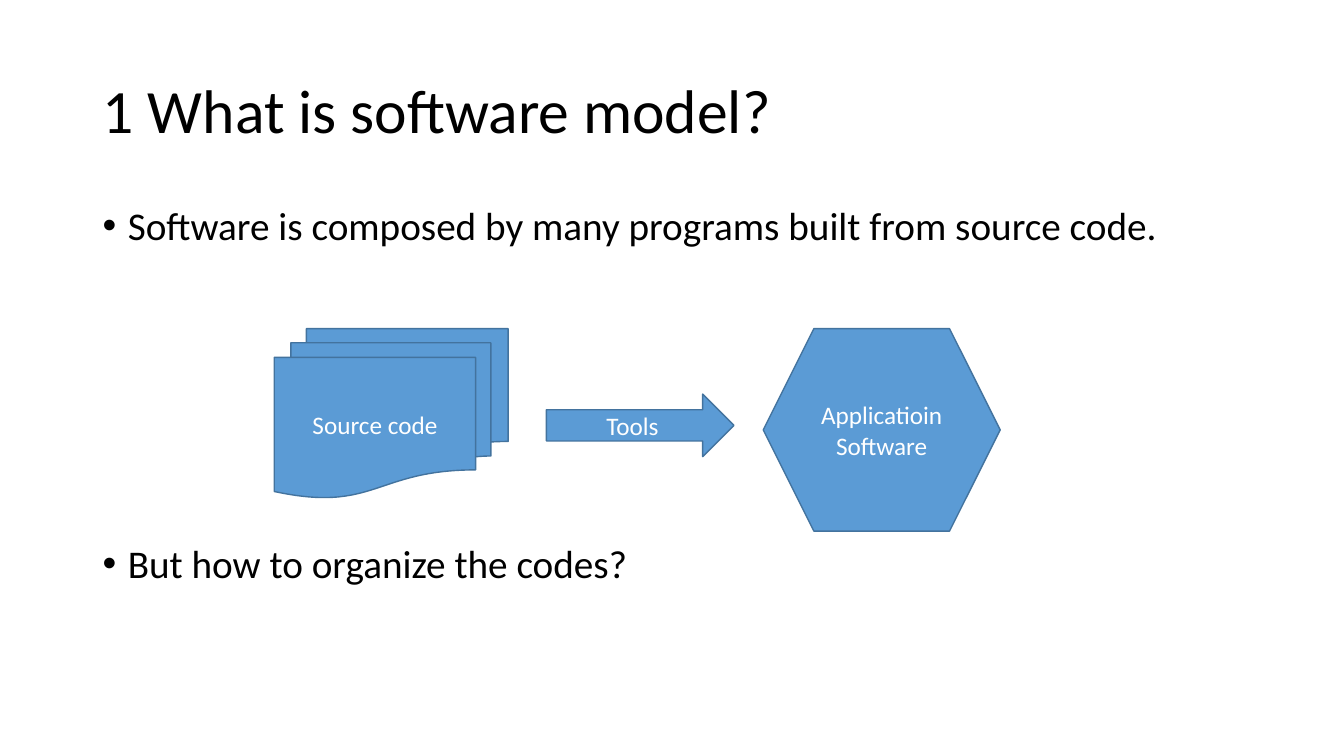
import pptx
import pptx.util
import pptx.dml.color
import pptx.enum.shapes
import pptx.enum.text
import lxml.etree
from pptx.oxml.ns import qn

Inches = pptx.util.Inches
Pt = pptx.util.Pt
ShapeType = pptx.enum.shapes.MSO_SHAPE
Alignment = pptx.enum.text.PP_ALIGN
Anchor = pptx.enum.text.MSO_ANCHOR

BLACK = pptx.dml.color.RGBColor(0x00, 0x00, 0x00)
WHITE = pptx.dml.color.RGBColor(0xFF, 0xFF, 0xFF)
BLUE = pptx.dml.color.RGBColor(0x5B, 0x9B, 0xD5)
DARK_BLUE = pptx.dml.color.RGBColor(0x43, 0x73, 0x9E)
FONT_NAME = "Calibri"


def format_paragraph(paragraph, size, color, alignment):
    paragraph.alignment = alignment
    for run in paragraph.runs:
        run.font.name = FONT_NAME
        run.font.size = Pt(size)
        run.font.color.rgb = color


def set_title(slide, text):
    title = slide.shapes.title
    title.left, title.top = Inches(0.92), Inches(0.4)
    title.width, title.height = Inches(11.5), Inches(1.45)
    text_frame = title.text_frame
    text_frame.text = text
    text_frame.auto_size = pptx.enum.text.MSO_AUTO_SIZE.NONE
    text_frame.vertical_anchor = Anchor.MIDDLE
    paragraph = text_frame.paragraphs[0]
    paragraph.line_spacing = 0.9
    format_paragraph(paragraph, 44, BLACK, Alignment.LEFT)


def add_bullet(paragraph):
    properties = paragraph._p.get_or_add_pPr()
    properties.set("marL", str(Inches(0.25)))
    properties.set("indent", str(Inches(-0.25)))
    bullet_font = lxml.etree.SubElement(properties, qn("a:buFont"))
    bullet_font.set("typeface", "Arial")
    bullet = lxml.etree.SubElement(properties, qn("a:buChar"))
    bullet.set("char", "•")


def add_bullet_list(slide, lines, gap):
    box = slide.shapes.add_textbox(Inches(0.92), Inches(2), Inches(11.5), Inches(4.76))
    text_frame = box.text_frame
    text_frame.word_wrap = True
    text_frame.text = "\n".join(lines)
    for index, paragraph in enumerate(text_frame.paragraphs):
        add_bullet(paragraph)
        paragraph.line_spacing = 0.9
        if index > 0:
            paragraph.space_before = Pt(gap)
        format_paragraph(paragraph, 28, BLACK, Alignment.LEFT)


def add_diagram_shape(slide, shape_type, left, top, width, height, text):
    shape = slide.shapes.add_shape(
        shape_type, Inches(left), Inches(top), Inches(width), Inches(height)
    )
    shape.shadow.inherit = False
    shape.fill.solid()
    shape.fill.fore_color.rgb = BLUE
    shape.line.color.rgb = DARK_BLUE
    shape.line.width = Pt(1)
    text_frame = shape.text_frame
    text_frame.word_wrap = True
    text_frame.vertical_anchor = Anchor.MIDDLE
    text_frame.text = text
    for paragraph in text_frame.paragraphs:
        format_paragraph(paragraph, 18, WHITE, Alignment.CENTER)


def main():
    presentation = pptx.Presentation()
    presentation.slide_width = Inches(13.33)
    presentation.slide_height = Inches(7.5)
    slide = presentation.slides.add_slide(presentation.slide_layouts[5])

    set_title(slide, "1 What is software model?")
    add_bullet_list(
        slide,
        [
            "Software is composed by many programs built from source code.",
            "But how to organize the codes?",
        ],
        gap=211,
    )
    add_diagram_shape(
        slide, ShapeType.FLOWCHART_MULTIDOCUMENT, 2.72, 3.26, 2.32, 1.68, "Source code"
    )
    add_diagram_shape(
        slide, ShapeType.HEXAGON, 7.57, 3.26, 2.35, 2.01, "Applicatioin\nSoftware"
    )
    add_diagram_shape(slide, ShapeType.RIGHT_ARROW, 5.42, 3.91, 1.86, 0.62, "Tools")

    presentation.save("out.pptx")


if __name__ == "__main__":
    main()
